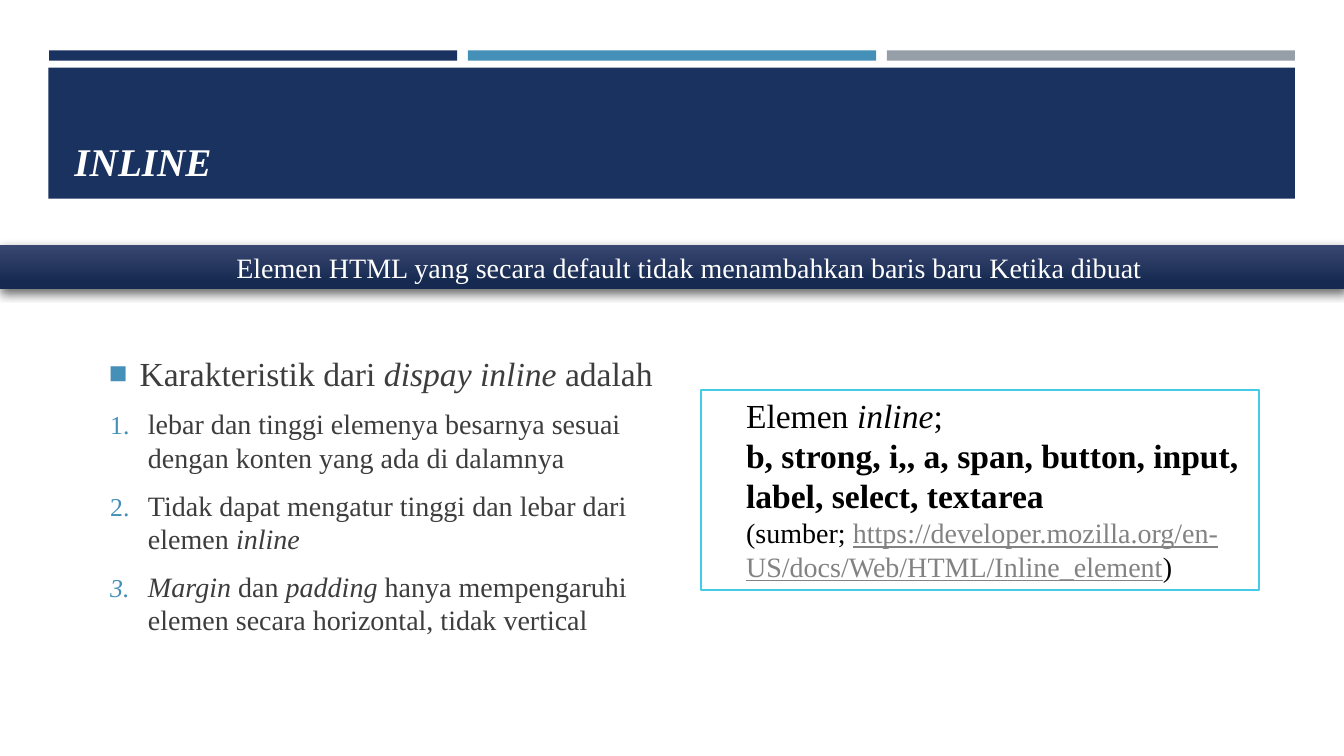
from lxml.etree import SubElement
from pptx import Presentation
from pptx.dml.color import RGBColor
from pptx.enum.shapes import MSO_SHAPE
from pptx.enum.text import MSO_ANCHOR, PP_ALIGN
from pptx.oxml.ns import qn
from pptx.util import Pt

COLORS = {
    "navy": "1A3260", "blue": "4590B8", "grey": "969FA7", "white": "FFFFFF",
    "black": "000000", "text": "3D3D3D", "link": "828282", "cyan": "45CBE8",
    "banner_top": "394771", "banner_bottom": "162A51",
}


def add_rect(left, top, width, height, color):
    rect = slide.shapes.add_shape(MSO_SHAPE.RECTANGLE, Pt(left), Pt(top), Pt(width), Pt(height))
    rect.shadow.inherit = False
    rect.fill.solid()
    rect.fill.fore_color.rgb = RGBColor.from_string(COLORS[color])
    rect.line.fill.background()
    return rect


def write(paragraph, pieces, size, color, left=0, indent=0):
    """Fill a paragraph from (text, style) pieces; style holds b, i or u."""
    properties = paragraph._p.get_or_add_pPr()
    properties.set("marL", str(Pt(left)))
    properties.set("indent", str(Pt(indent)))
    for text, style in pieces:
        run = paragraph.add_run()
        run.text = text
        run.font.name = "Times New Roman"
        run.font.size = Pt(size)
        run.font.bold = "b" in style
        run.font.italic = "i" in style
        run.font.underline = "u" in style
        run.font.color.rgb = RGBColor.from_string(COLORS["link" if "u" in style else color])


prs = Presentation()
prs.slide_width, prs.slide_height = Pt(960), Pt(540)
slide = prs.slides.add_slide(prs.slide_layouts[5])

# Header bars and title band
for column, color in enumerate(("navy", "blue", "grey")):
    add_rect(35 + column * 299.2, 36, 291.6, 7.4, color)
add_rect(34.6, 48.4, 890.4, 93.6, "navy")

# Title, brought in front of its band
title = slide.shapes.title
slide.shapes._spTree.append(title._element)
title.left, title.top, title.width, title.height = Pt(46), Pt(55.4), Pt(868), Pt(80)
title.text_frame.vertical_anchor = MSO_ANCHOR.BOTTOM
title.text_frame.word_wrap = True
title.text_frame.paragraphs[0].alignment = PP_ALIGN.LEFT
write(title.text_frame.paragraphs[0], [("INLINE", "bi")], 28, "white")

# Characteristics list: one square bullet, then numbered points
characteristics = slide.shapes.add_textbox(Pt(46), Pt(234), Pt(455), Pt(238.4)).text_frame
characteristics.word_wrap = True
characteristics.vertical_anchor = MSO_ANCHOR.MIDDLE
points = [
    [("Karakteristik dari ", ""), ("dispay inline ", "i"), ("adalah", "")],
    [("lebar dan tinggi elemenya besarnya sesuai dengan konten yang ada di dalamnya", "")],
    [("Tidak dapat mengatur tinggi dan lebar dari elemen ", ""), ("inline", "i")],
    [("Margin", "i"), (" dan ", ""), ("padding ", "i"),
     ("hanya mempengaruhi elemen secara horizontal, tidak vertical", "")],
]
for number, pieces in enumerate(points):
    point = characteristics.add_paragraph() if number else characteristics.paragraphs[0]
    point.space_before = Pt(4 if number else 0)
    point.space_after = Pt(6)
    properties = point._p.get_or_add_pPr()
    bullet_color = SubElement(properties, qn("a:buClr"))
    SubElement(bullet_color, qn("a:srgbClr"), val=COLORS["blue"])
    SubElement(properties, qn("a:buSzPct"), val="92000")
    if number:
        point.level = 1
        SubElement(properties, qn("a:buFont"), typeface="+mj-lt")
        SubElement(properties, qn("a:buAutoNum"), type="arabicPeriod")
        write(point, pieces, 20, "text", 52.6, -27)
    else:
        SubElement(properties, qn("a:buFont"), typeface="Times New Roman")
        SubElement(properties, qn("a:buChar"), char="■")
        write(point, pieces, 24, "text", 46.6, -22)

# Inline elements box
elements_box = add_rect(500.6, 278.4, 398.8, 143, "white")
elements_box.line.color.rgb = RGBColor.from_string(COLORS["cyan"])
elements_box.line.width = Pt(1.75)
elements = elements_box.text_frame
elements.word_wrap = True
elements.vertical_anchor = MSO_ANCHOR.TOP
element_lines = [
    (24, [("Elemen ", ""), ("inline", "i"), (";", "")]),
    (24, [("b, strong, i,, a, span, button, input, label, select, textarea", "b")]),
    (20, [("(sumber; ", ""),
          ("https://developer.mozilla.org/en-US/docs/Web/HTML/Inline_element", "u"), (")", "")]),
]
for number, (size, pieces) in enumerate(element_lines):
    line = elements.add_paragraph() if number else elements.paragraphs[0]
    line.alignment = PP_ALIGN.LEFT
    write(line, pieces, size, "black", 25.2)

# Definition banner with gradient and soft shadow
banner = add_rect(0, 175, 960, 31.5, "banner_top")
banner.fill.gradient()
banner.fill.gradient_angle = 270
for stop, color, position in zip(banner.fill.gradient_stops, ("banner_top", "banner_bottom"), (0, 0.84)):
    stop.color.rgb = RGBColor.from_string(COLORS[color])
    stop.position = position
effects = banner._element.spPr.find(qn("a:effectLst"))
shadow = SubElement(effects, qn("a:outerShdw"), blurRad=str(Pt(7)), dist=str(Pt(3)),
                    dir=str(84 * 60000), rotWithShape="0")
shadow_color = SubElement(shadow, qn("a:srgbClr"), val=COLORS["black"])
SubElement(shadow_color, qn("a:alpha"), val="60000")
banner.text_frame.word_wrap = True
definition = banner.text_frame.paragraphs[0]
definition.alignment = PP_ALIGN.CENTER
write(definition, [("Elemen HTML yang secara default tidak menambahkan baris baru Ketika dibuat", "")],
      20, "white", 46.6, -22)

prs.save("out.pptx")
